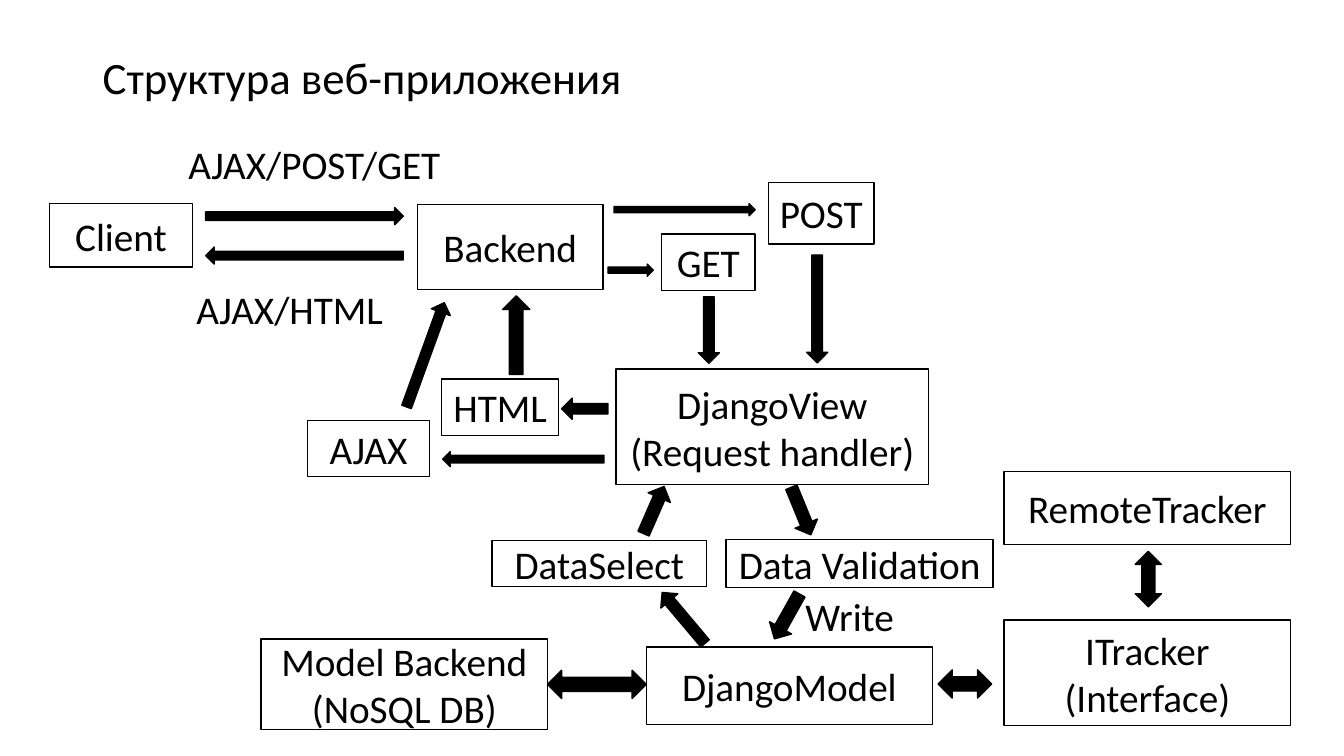
import dataclasses

import pptx
import pptx.dml.color
import pptx.enum.shapes
import pptx.enum.text
import pptx.util

Inches = pptx.util.Inches
Kind = pptx.enum.shapes.MSO_SHAPE
Anchor = pptx.enum.text.MSO_ANCHOR
Align = pptx.enum.text.PP_ALIGN
Fit = pptx.enum.text.MSO_AUTO_SIZE


@dataclasses.dataclass(frozen=True)
class Theme:
    ink = pptx.dml.color.RGBColor(0, 0, 0)
    paper = pptx.dml.color.RGBColor(255, 255, 255)
    font = "Calibri"
    title = pptx.util.Pt(32)
    body = pptx.util.Pt(28)
    line = pptx.util.Pt(1)


BOXES = [
    ("Client", 0.49, 2.02, 1.42, 0.63),
    ("Backend", 4.14, 2.03, 1.84, 0.84),
    ("POST", 7.62, 1.81, 1.05, 0.61),
    ("GET", 6.56, 2.32, 0.93, 0.56),
    ("DjangoView\n(Request handler)", 6.11, 3.66, 3.1, 1.15),
    ("HTML", 4.38, 3.76, 1.16, 0.56),
    ("AJAX", 3.05, 4.17, 1.21, 0.56),
    ("DataSelect", 4.88, 5.36, 2.13, 0.46),
    ("Data Validation", 7.2, 5.35, 2.65, 0.48),
    ("DjangoModel", 6.41, 6.42, 2.84, 0.77),
    ("Model Backend\n(NoSQL DB)", 2.59, 6.34, 2.84, 0.9),
    ("ITracker\n(Interface)", 9.96, 6.15, 2.84, 1.05),
    ("RemoteTracker", 9.96, 4.68, 2.84, 0.72),
]

LABELS = [
    ("AJAX/POST/GET", 1.77, 1.34, 2.73, 0.57),
    ("AJAX/HTML", 1.85, 2.78, 2.07, 0.57),
    ("Write", 7.89, 5.83, 1.09, 0.57),
]

ONE_WAY = [
    (0, 2.04, 2.06, 1.96, 0.17),
    (180, 2.04, 2.45, 1.96, 0.17),
    (0, 6.09, 2.02, 1.4, 0.12),
    (0, 6.03, 2.62, 0.45, 0.12),
    (90, 7.57, 2.96, 1.07, 0.21),
    (90, 6.7, 3.17, 0.66, 0.21),
    (180, 4.39, 4.48, 1.6, 0.15),
    (180, 5.57, 3.95, 0.46, 0.21),
    (229.9, 6.45, 6.02, 0.66, 0.22),
    (289.9, 3.67, 3.42, 1.1, 0.2),
    (270, 4.73, 3.19, 0.78, 0.27),
    (293.6, 6.23, 4.94, 0.51, 0.24),
    (67.7, 7.69, 4.95, 0.51, 0.24),
    (119.2, 7.55, 5.99, 0.51, 0.25),
]

TWO_WAY = [
    (270, 5.78, 6.3, 0.28, 0.98),
    (0, 11.26, 5.47, 0.26, 0.55),
    (270, 9.43, 6.52, 0.28, 0.53),
]


def write(frame, text, size, align):
    frame.text = text
    for para in frame.paragraphs:
        para.alignment = align
        for run in para.runs:
            run.font.name = Theme.font
            run.font.size = size
            run.font.color.rgb = Theme.ink


def add_form(slide, kind, place, fill):
    form = slide.shapes.add_shape(kind, *map(Inches, place))
    form.shadow.inherit = False
    form.fill.solid()
    form.fill.fore_color.rgb = fill
    form.line.color.rgb = Theme.ink
    form.line.width = Theme.line
    return form


def add_box(slide, text, *place):
    box = add_form(slide, Kind.RECTANGLE, place, Theme.paper)
    box.text_frame.vertical_anchor = Anchor.MIDDLE
    write(box.text_frame, text, Theme.body, Align.CENTER)


def add_arrow(slide, kind, turn, *place):
    add_form(slide, kind, place, Theme.ink).rotation = turn


def add_label(slide, text, *place):
    frame = slide.shapes.add_textbox(*map(Inches, place)).text_frame
    write(frame, text, Theme.body, Align.LEFT)
    frame.word_wrap = False
    frame.auto_size = Fit.SHAPE_TO_FIT_TEXT


def add_title(slide, text, *place):
    frame = slide.shapes.add_textbox(*map(Inches, place)).text_frame
    write(frame, text, Theme.title, Align.LEFT)
    frame.word_wrap = True
    frame.vertical_anchor = Anchor.MIDDLE
    frame.paragraphs[0].line_spacing = 0.9


def main():
    deck = pptx.Presentation()
    deck.slide_width = Inches(13.33)
    deck.slide_height = Inches(7.5)
    slide = deck.slides.add_slide(deck.slide_layouts[6])
    add_title(slide, "Структура веб-приложения", 0.92, 0.4, 11.5, 0.78)
    for box in BOXES:
        add_box(slide, *box)
    for label in LABELS:
        add_label(slide, *label)
    for arrow in ONE_WAY:
        add_arrow(slide, Kind.RIGHT_ARROW, *arrow)
    for arrow in TWO_WAY:
        add_arrow(slide, Kind.UP_DOWN_ARROW, *arrow)
    deck.save("out.pptx")


if __name__ == "__main__":
    main()
